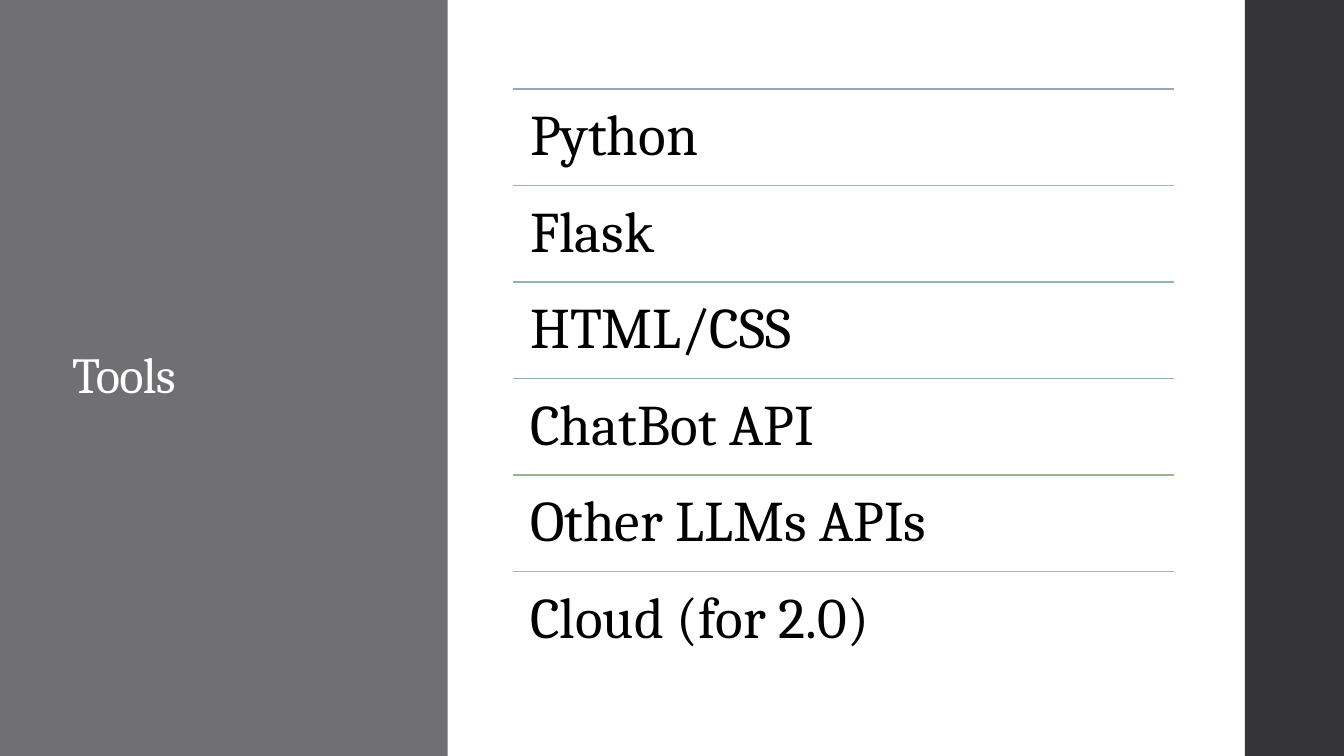
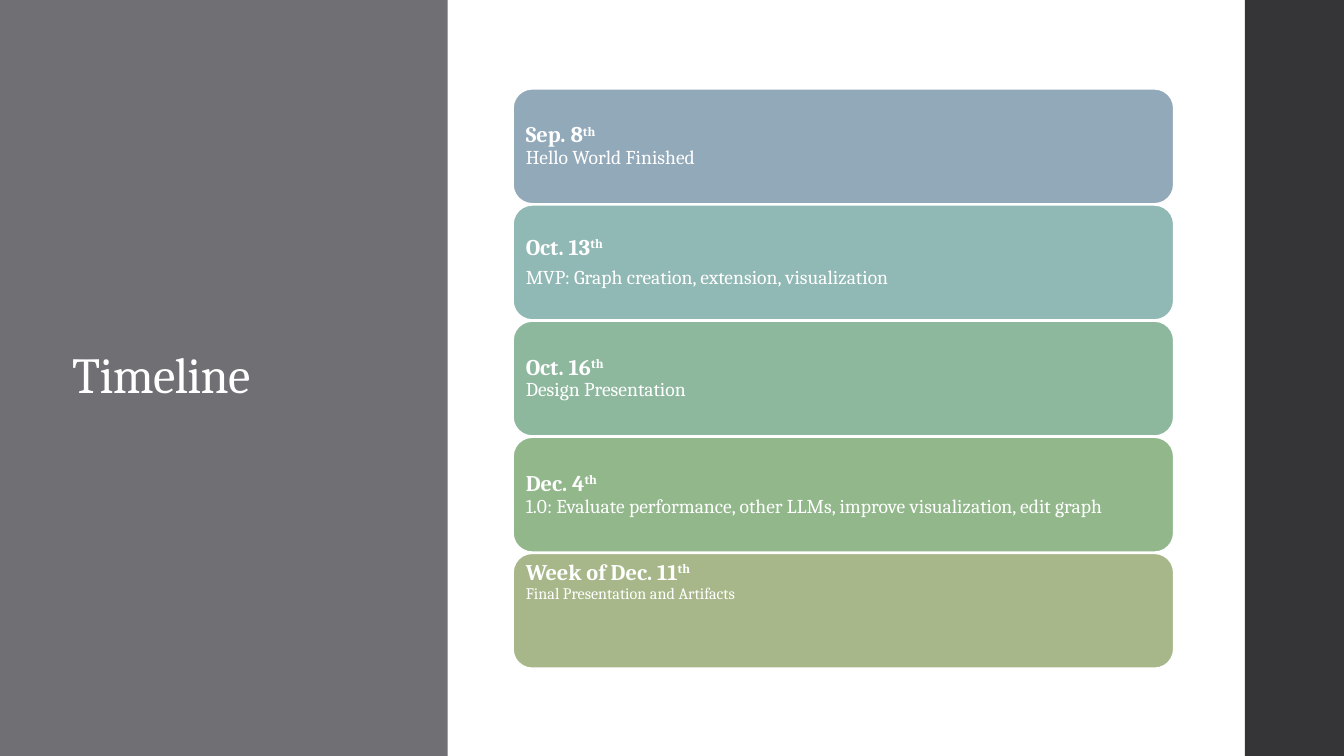
from dataclasses import dataclass

from lxml import etree
from pptx import Presentation
from pptx import util as u
from pptx.dml.color import RGBColor
from pptx.enum import shapes, text
from pptx.oxml.ns import qn


@dataclass(frozen=True)
class Theme:
    font: str = "Cambria"
    panel: str = "6F6F74"
    edge: str = "353537"
    light: str = "FFFFFF"
    dark: str = "000000"
    title_size: float = 36
    tool_size: float = 41
    date_size: float = 16
    detail_size: float = 14
    small_size: float = 11.5
    line_width: float = 1.1
    rules: tuple = ("92A9B9", "90B9B8", "8EB8A7", "8DB894", "95B78B", "A7B789")
    cards: tuple = ("92A9B9", "90B8B4", "8EB89E", "91B78B", "A7B789")


SLIDE_WIDTH, SLIDE_HEIGHT = 33.87, 19.05
PANEL_WIDTH, EDGE_LEFT = 11.28, 31.37
LIST_LEFT, LIST_TOP, LIST_WIDTH, LIST_HEIGHT = 12.93, 2.24, 16.65, 14.6
CARD_GAP = 0.03

TOOLS = ("Python", "Flask", "HTML/CSS", "ChatBot API", "Other LLMs APIs", "Cloud (for 2.0)")
MILESTONES = (
    ("Sep. 8", "Hello World Finished", {}),
    ("Oct. 13", "MVP: Graph creation, extension, visualization", {"gap": 5.6}),
    ("Oct. 16", "Design Presentation", {}),
    ("Dec. 4", "1.0: Evaluate performance, other LLMs, improve visualization, edit graph", {}),
    ("Week of Dec. 11", "Final Presentation and Artifacts", {"at_top": True}),
)


class Deck:
    def __init__(self, theme):
        self.theme = theme
        self.presentation = Presentation()
        self.presentation.slide_width = u.Cm(SLIDE_WIDTH)
        self.presentation.slide_height = u.Cm(SLIDE_HEIGHT)
        self.slide = None

    def new_slide(self, title):
        self.slide = self.presentation.slides.add_slide(self.presentation.slide_layouts[6])
        self.block(0, 0, PANEL_WIDTH, SLIDE_HEIGHT, self.theme.panel)
        self.block(EDGE_LEFT, 0, SLIDE_WIDTH - EDGE_LEFT, SLIDE_HEIGHT, self.theme.edge)
        run = self.label(title, 1.57, 2.31, 7.54, 14.4, self.theme.title_size,
                         self.theme.light, anchor=text.MSO_ANCHOR.MIDDLE)
        run._r.get_or_add_rPr().set("spc", "-50")

    def block(self, left, top, width, height, color, kind=shapes.MSO_SHAPE.RECTANGLE, outline=None):
        shape = self.slide.shapes.add_shape(kind, u.Cm(left), u.Cm(top), u.Cm(width), u.Cm(height))
        shape.shadow.inherit = False
        shape.fill.solid()
        shape.fill.fore_color.rgb = RGBColor.from_string(color)
        if outline:
            shape.line.color.rgb = RGBColor.from_string(outline)
            shape.line.width = u.Pt(self.theme.line_width)
        else:
            shape.line.fill.background()
        return shape

    def rule(self, left, top, width, color):
        connector = self.slide.shapes.add_connector(
            shapes.MSO_CONNECTOR.STRAIGHT, u.Cm(left), u.Cm(top), u.Cm(left + width), u.Cm(top))
        connector.line.color.rgb = RGBColor.from_string(color)
        connector.line.width = u.Pt(self.theme.line_width)
        etree.SubElement(connector._element.spPr, qn("a:effectLst"))

    def label(self, words, left, top, width, height, size, color,
              inset=0.25, anchor=text.MSO_ANCHOR.TOP):
        shape = self.slide.shapes.add_textbox(u.Cm(left), u.Cm(top), u.Cm(width), u.Cm(height))
        frame = self.frame(shape, inset, anchor)
        frame.text = words
        return self.style(frame.paragraphs[0], size, color)

    def card(self, top, height, color, date, detail, gap=0, at_top=False):
        shape = self.block(LIST_LEFT, top, LIST_WIDTH, height, color,
                           shapes.MSO_SHAPE.ROUNDED_RECTANGLE, self.theme.light)
        frame = self.frame(shape, 0.18, text.MSO_ANCHOR.MIDDLE)
        detail_size = self.theme.detail_size
        if at_top:
            frame.vertical_anchor = text.MSO_ANCHOR.TOP
            frame.margin_top = u.Cm(0.05)
            detail_size = self.theme.small_size
        heading = frame.paragraphs[0]
        heading.text = date
        ordinal = heading.add_run()
        ordinal.text = "th"
        self.style(heading, self.theme.date_size, self.theme.light, bold=True)
        ordinal._r.get_or_add_rPr().set("baseline", "30000")
        heading.space_after = u.Pt(gap)
        body = frame.add_paragraph()
        body.text = detail
        self.style(body, detail_size, self.theme.light)

    def frame(self, shape, inset, anchor):
        frame = shape.text_frame
        frame.word_wrap = True
        frame.vertical_anchor = anchor
        frame.margin_left = frame.margin_right = u.Cm(inset)
        frame.margin_top = frame.margin_bottom = u.Cm(inset)
        return frame

    def style(self, paragraph, size, color, bold=False):
        paragraph.alignment = text.PP_ALIGN.LEFT
        paragraph.line_spacing = 0.9
        for run in paragraph.runs:
            run.font.name = self.theme.font
            run.font.size = u.Pt(size)
            run.font.bold = bold
            run.font.color.rgb = RGBColor.from_string(color)
        return paragraph.runs[0]


def add_tools(deck):
    deck.new_slide("Tools")
    pitch = LIST_HEIGHT / len(TOOLS)
    for index, (tool, color) in enumerate(zip(TOOLS, deck.theme.rules)):
        top = LIST_TOP + index * pitch
        deck.rule(LIST_LEFT, top, LIST_WIDTH, color)
        deck.label(tool, LIST_LEFT, top, LIST_WIDTH, pitch,
                   deck.theme.tool_size, deck.theme.dark, inset=0.43)


def add_timeline(deck):
    deck.new_slide("Timeline")
    pitch = (LIST_HEIGHT + CARD_GAP) / len(MILESTONES)
    for index, (milestone, color) in enumerate(zip(MILESTONES, deck.theme.cards)):
        date, detail, options = milestone
        deck.card(LIST_TOP + index * pitch, pitch - CARD_GAP, color, date, detail, **options)


def main():
    deck = Deck(Theme())
    add_tools(deck)
    add_timeline(deck)
    deck.presentation.save("out.pptx")


if __name__ == "__main__":
    main()
